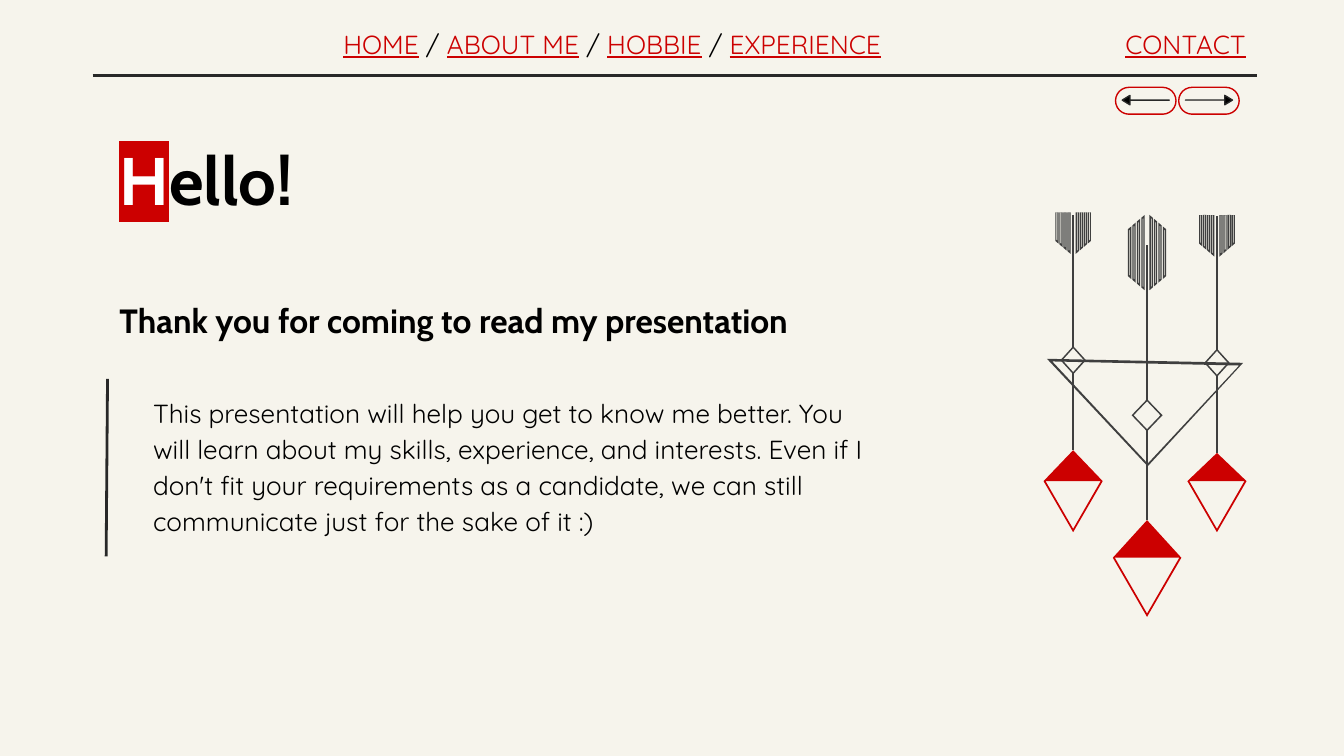
import pptx
import pptx.util
import pptx.dml.color
import pptx.enum.shapes
import pptx.enum.text
import pptx.oxml
import pptx.oxml.ns

RGB = pptx.dml.color.RGBColor
PAPER = RGB(0xF6, 0xF4, 0xEC)
RED = RGB(0xCC, 0x00, 0x00)
INK = RGB(0x28, 0x28, 0x28)
GREY = RGB(0x3F, 0x3F, 0x3F)
BLACK = RGB(0, 0, 0)
WHITE = RGB(0xFF, 0xFF, 0xFF)

KIND = pptx.enum.shapes.MSO_SHAPE
ALIGN = pptx.enum.text.PP_ALIGN
MIDDLE = pptx.enum.text.MSO_ANCHOR.MIDDLE
TOP = pptx.enum.text.MSO_ANCHOR.TOP
inch = pptx.util.Inches

# Content
MENU = ["HOME", "ABOUT ME", "HOBBIE", "EXPERIENCE"]
CONTACT = "CONTACT"
HELLO = ("H", "ello!")
THANKS = "Thank you for coming to read my presentation"
BODY = ("This presentation will help you get to know me better. You will learn "
        "about my skills, experience, and interests. Even if I don't fit your "
        "requirements as a candidate, we can still communicate just for the "
        "sake of it :)")
RULES = [((0.8, 2.82), (0.79, 4.14)), ((0.69, 0.56), (9.35, 0.56))]
BUTTONS = [(8.3, 180), (8.77, 0)]  # left edge, turn of the arrow

# Each hung arrow: middle x, shaft top, knot (y, half width, half height),
# head (top, shoulder, tip, half width), feather (top, bottom, slope, pitch)
ARROWS = [
    dict(x=8.535, top=1.82, knot=(3.09, 0.115, 0.12),
         head=(3.87, 4.15, 4.59, 0.255), plume=(1.6, 2.16, 1, 0.033)),
    dict(x=9.055, top=1.61, knot=(2.7, 0.095, 0.105),
         head=(3.37, 3.58, 3.96, 0.22), plume=(1.6, 1.91, 0, 0.03)),
    dict(x=7.985, top=1.6, knot=(2.68, 0.095, 0.105),
         head=(3.35, 3.58, 3.96, 0.22), plume=(1.58, 1.89, 0, 0.03)),
]
FRAME = [[(7.79, 2.67), (8.54, 3.47), (9.25, 2.7)],
         [(7.83, 2.69), (9.22, 2.72), (8.54, 3.45)]]
BARBS = 4      # on each side of a feather
BARB = 0.025   # width of a barb
SLOT = (0.01, 0.016)
FALL = 0.85    # slope of the feather ends
HALF = 0.006   # half the width of a shaft

deck = pptx.Presentation()
deck.slide_width = inch(10)
deck.slide_height = deck.slide_width * 9 // 16
slide = deck.slides.add_slide(deck.slide_layouts[6])
slide.background.fill.solid()
slide.background.fill.fore_color.rgb = PAPER


def mark(run, color):
    """Highlight a run."""
    tag = pptx.oxml.parse_xml(
        '<a:highlight %s><a:srgbClr val="%s"/></a:highlight>'
        % (pptx.oxml.ns.nsdecls("a"), color))
    run._r.get_or_add_rPr().find(pptx.oxml.ns.qn("a:solidFill")).addnext(tag)


def write(para, text, size=14, font="Quicksand", color=BLACK, bold=False,
          under=False, back=None):
    run = para.add_run()
    run.text = text
    face = run.font
    face.size, face.name, face.bold = pptx.util.Pt(size), font, bold
    face.underline = under
    face.color.rgb = color
    if back is not None:
        mark(run, back)


def block(left, top, wide, high, align=ALIGN.LEFT, anchor=TOP, right=0.1):
    """Add a text box and return its frame."""
    box = slide.shapes.add_textbox(*map(inch, (left, top, wide, high)))
    frame = box.text_frame
    frame.word_wrap = True
    frame.vertical_anchor = anchor
    frame.margin_left = frame.margin_top = frame.margin_bottom = inch(0.1)
    frame.margin_right = inch(right)
    frame.paragraphs[0].alignment = align
    return frame


def rule(start, end):
    line = slide.shapes.add_connector(
        pptx.enum.shapes.MSO_CONNECTOR.STRAIGHT, *map(inch, start + end))
    line.line.color.rgb = INK
    line.line.width = pptx.util.Pt(1.5)
    line._element.spPr.append(pptx.oxml.parse_xml(
        "<a:effectLst %s/>" % pptx.oxml.ns.nsdecls("a")))


def preset(kind, left, top, wide, high, adjust, line, fill=None):
    shape = slide.shapes.add_shape(kind, *map(inch, (left, top, wide, high)))
    shape.shadow.inherit = False
    for i, value in enumerate(adjust):
        shape.adjustments[i] = value
    shape.line.color.rgb = line
    shape.line.width = pptx.util.Pt(0.75)
    if fill is None:
        shape.fill.background()
    else:
        shape.fill.solid()
        shape.fill.fore_color.rgb = fill
    return shape


def trace(group, loops, color):
    """Fill an outline; later loops cut holes in the first."""
    loops = [[(inch(x), inch(y)) for x, y in loop] for loop in loops]
    pen = group.shapes.build_freeform(*loops[0][0], scale=1.0)
    for i, loop in enumerate(loops):
        if i:
            pen.move_to(*loop[0])
        pen.add_line_segments(loop[1:], close=True)
    shape = pen.convert_to_shape()
    shape.shadow.inherit = False
    shape.fill.solid()
    shape.fill.fore_color.rgb = color
    shape.line.fill.background()


def plume(group, x, top, base, slope, pitch):
    """Draw slotted barbs on both sides of a shaft."""
    def loop(side, near, far, pad):
        ends = [(near, 1), (far, 1), (far, 0), (near, 0)]
        return [(x + side * (0.018 + d),
                 top + slope * (FALL * d + pad) if up
                 else base - FALL * d - pad) for d, up in ends]

    for side in (-1, 1):
        for i in range(BARBS):
            d = i * pitch
            trace(group, [loop(side, d, d + BARB, 0),
                          loop(side, d + SLOT[0], d + SLOT[1], 0.015)], GREY)


def gem(x, y, wide, high):
    return [(x, y - high), (x + wide, y), (x, y + high), (x - wide, y)]


def arrow(group, x, top, knot, head, feather):
    y, wide, high = knot
    peak, side, tip, half = head
    for a, b in [(top, y - high + 0.01), (y + high - 0.01, peak)]:
        trace(group, [[(x - HALF, a), (x - HALF, b),
                       (x + HALF, b), (x + HALF, a)]], GREY)
    plume(group, x, *feather)
    trace(group, [[(x, peak), (x - half, side), (x, tip), (x + half, side)],
                  [(x + half - 0.015, side), (x, tip - 0.025),
                   (x - half + 0.015, side)]], RED)
    trace(group, [gem(x, y, wide, high),
                  gem(x, y, wide - 0.015, high - 0.016)], GREY)


for start, end in RULES:
    rule(start, end)

title = block(0.79, 0.93, 8.43, 1.05)
big = dict(size=36, font="Cabin", bold=True)
write(title.paragraphs[0], HELLO[0], color=WHITE, back=RED, **big)
write(title.paragraphs[0], HELLO[1], **big)
thanks = title.add_paragraph()
thanks.space_before = pptx.util.Pt(43.5)
write(thanks, THANKS, size=18, font="Cabin", bold=True)

body = block(1.04, 2.82, 5.51, 1.32).paragraphs[0]
body.line_spacing = 1.15
write(body, BODY)

link = dict(color=RED, under=True)
write(block(8.13, 0.21, 1.14, 0.23, ALIGN.RIGHT, MIDDLE, 0).paragraphs[0],
      CONTACT, **link)
menu = block(2.26, 0.21, 4.59, 0.23, ALIGN.CENTER, MIDDLE).paragraphs[0]
for i, name in enumerate(MENU):
    if i:
        write(menu, " / ")
    write(menu, name, **link)

for left, turn in BUTTONS:
    preset(KIND.ROUNDED_RECTANGLE, left, 0.65, 0.45, 0.2, [0.5], RED)
for left, turn in BUTTONS:
    sign = preset(KIND.RIGHT_ARROW, left + 0.05, 0.71, 0.35, 0.07,
                  [0, 0.816], INK, BLACK)
    sign.rotation = turn

art = slide.shapes.add_group_shape()
for item in ARROWS:
    arrow(art, item["x"], item["top"], item["knot"], item["head"], item["plume"])
trace(art, FRAME, GREY)

deck.save("out.pptx")
